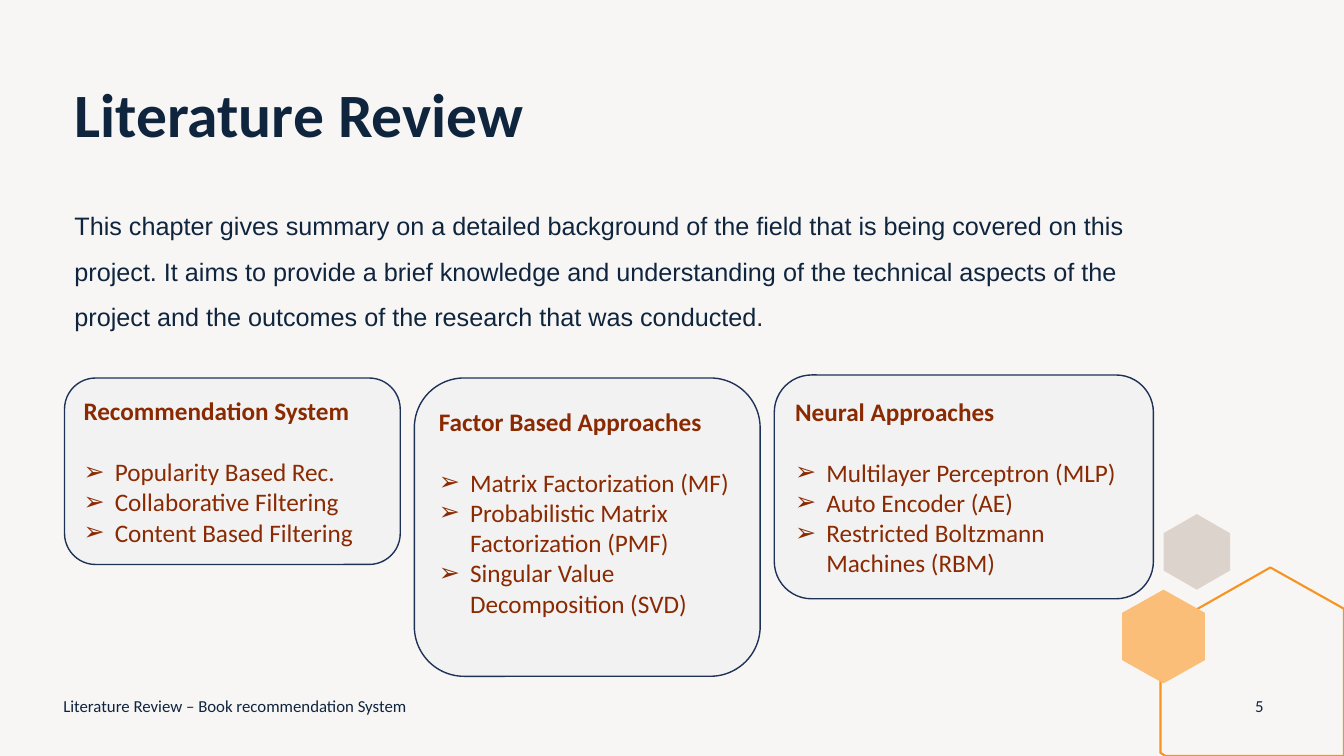
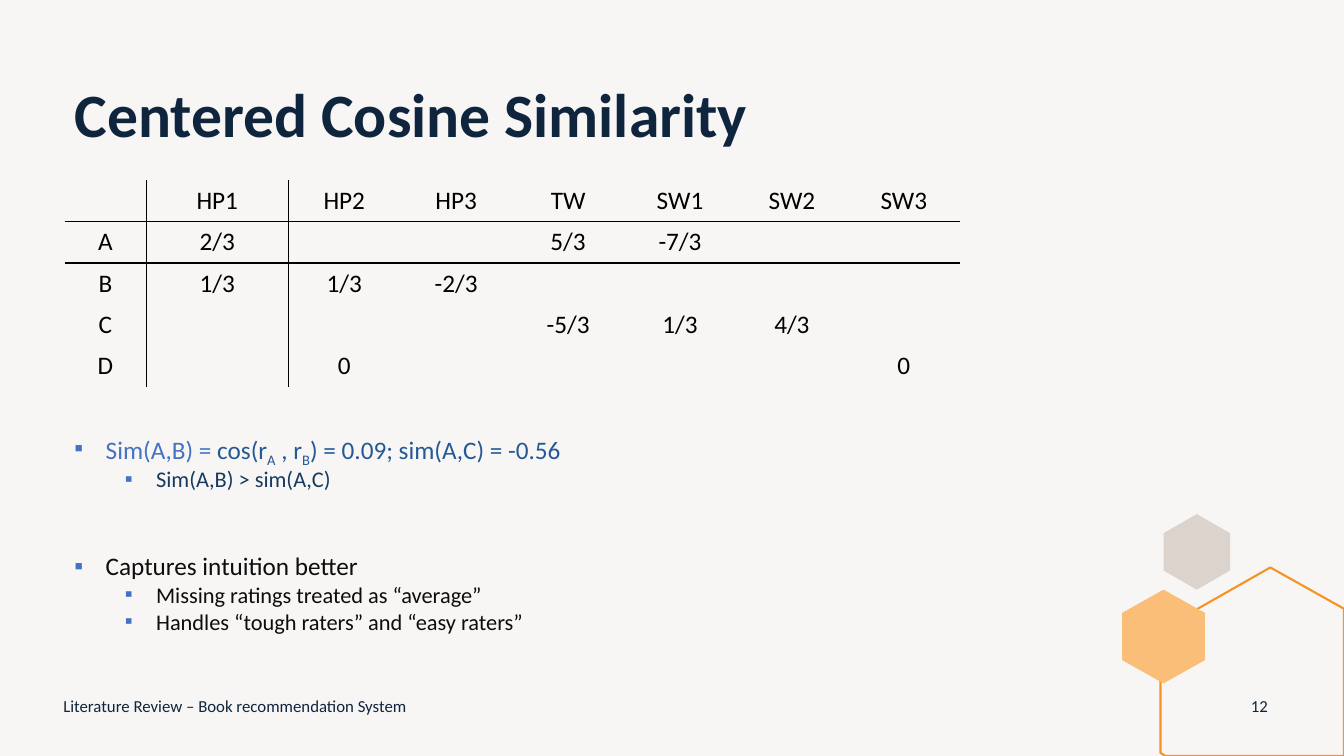
"""Build two slides on the literature behind a book recommendation system."""
from lxml import etree
from pptx import Presentation
from pptx import util as u
from pptx.dml.color import RGBColor
from pptx.enum import shapes, text
from pptx.oxml import ns

COLORS = {
    "background": "F8F6F5", "navy": "0F253E", "card": "F2F2F2", "card_line": "1E3256",
    "rust": "8A2A02", "stone": "DCD3CC", "orange": "F79320", "apricot": "FABE79",
    "bullet": "4472C4", "formula": "245995", "result": "173A61", "ink": "0D0D0D",
    "black": "000000",
}
TITLE = {"name": "Calibri", "size": u.Pt(44), "bold": True}
BODY = {"name": "Arial", "size": u.Pt(18)}
FOOTER = {"name": "Calibri", "size": u.Pt(12)}
HEADING = {"name": "Calibri", "size": u.Pt(18), "bold": True}
ITEM = {"name": "Calibri", "size": u.Pt(18), "bold": False}
SUBITEM = {"name": "Calibri", "size": u.Pt(16), "bold": False}
FOOTER_TEXT = "Literature Review – Book recommendation System"

HEXAGONS = [
    ([(11.87, 5.1), (12.2, 5.29), (12.2, 5.66), (11.87, 5.85), (11.54, 5.66), (11.54, 5.29)],
     "stone", None),
    ([(12.6, 5.63), (13.33, 6.04), (13.33, 7.5), (11.56, 7.5), (11.51, 7.47), (11.51, 6.25)],
     None, "orange"),
    ([(11.54, 5.85), (11.95, 6.08), (11.95, 6.55), (11.54, 6.78), (11.13, 6.55), (11.13, 6.08)],
     "apricot", None),
]
SUMMARY = (
    "This chapter gives summary on a detailed background of the field that is being covered "
    "on this project. It aims to provide a brief knowledge and understanding of the technical "
    "aspects of the project and the outcomes of the research that was conducted."
)
CARDS = [
    ((0.64, 3.75, 3.33, 1.85), 0.05, "Recommendation System",
     ["Popularity Based Rec.", "Collaborative Filtering", "Content Based Filtering"]),
    ((4.11, 3.75, 3.43, 2.96), 0.35, "Factor Based Approaches",
     ["Matrix Factorization (MF)", "Probabilistic Matrix Factorization (PMF)",
      "Singular Value Decomposition (SVD)"]),
    ((7.68, 3.72, 3.76, 2.22), 0.05, "Neural Approaches",
     ["Multilayer Perceptron (MLP)", "Auto Encoder (AE)",
      "Restricted Boltzmann Machines (RBM)"]),
]
RATINGS = [
    ["", "HP1", "HP2", "HP3", "TW", "SW1", "SW2", "SW3"],
    ["A", "2/3", "", "", "5/3", "-7/3", "", ""],
    ["B", "1/3", "1/3", "-2/3", "", "", "", ""],
    ["C", "", "", "", "-5/3", "1/3", "4/3", ""],
    ["D", "", "0", "", "", "", "", "0"],
]
COLUMN_WIDTHS = [0.81, 1.41] + [1.11] * 6
ROW_HEIGHT = 0.41
FINDINGS = [
    (0, 0, [("Sim(A,B) = ", "bullet", 0), ("cos(r", "formula", 0), ("A", "formula", -25),
            (" , r", "formula", 0), ("B", "formula", -25),
            (") = 0.09; sim(A,C) = -0.56", "formula", 0)]),
    (1, 0, [("Sim(A,B) > sim(A,C)", "result", 0)]),
    (0, 44, [("Captures intuition better", "ink", 0)]),
    (1, 0, [("Missing ratings treated as “average”", "ink", 0)]),
    (1, 0, [("Handles “tough raters” and “easy raters”", "ink", 0)]),
]


def rgb(name):
    """Return the named colour."""
    return RGBColor.from_string(COLORS[name])


def inches(values):
    """Convert a sequence of numbers to lengths."""
    return [u.Inches(value) for value in values]


def set_values(target, values):
    """Set attributes from a dict of format values."""
    for name, value in values.items():
        setattr(target, name, value)


def add_run(paragraph, words, style, color, baseline=0):
    """Append formatted words to a paragraph."""
    run = paragraph.add_run()
    run.text = words
    set_values(run.font, style)
    run.font.color.rgb = rgb(color)
    if baseline:
        run.font._element.set("baseline", str(baseline * 1000))


def add_bullet(paragraph, character, left, color):
    """Give a paragraph a hanging bullet."""
    properties = paragraph._p.get_or_add_pPr()
    properties.set("marL", str(u.Inches(left)))
    properties.set("indent", str(u.Inches(-0.31)))
    bullet_color = etree.SubElement(properties, ns.qn("a:buClr"))
    etree.SubElement(bullet_color, ns.qn("a:srgbClr"), val=COLORS[color])
    etree.SubElement(properties, ns.qn("a:buFont"), typeface="Arial")
    etree.SubElement(properties, ns.qn("a:buChar"), char=character)


def add_text(slide, box, words, style, **paragraph_format):
    """Add a text box with one paragraph in navy."""
    frame = slide.shapes.add_textbox(*inches(box)).text_frame
    frame.word_wrap = True
    paragraph = frame.paragraphs[0]
    set_values(paragraph, paragraph_format)
    add_run(paragraph, words, style, "navy")
    return frame


def paint(shape, fill, line, width):
    """Set the fill and outline of a shape, without a shadow."""
    shape.shadow.inherit = False
    if fill:
        shape.fill.solid()
        shape.fill.fore_color.rgb = rgb(fill)
    else:
        shape.fill.background()
    if line:
        shape.line.color.rgb = rgb(line)
        shape.line.width = u.Pt(width)
    else:
        shape.line.fill.background()


def add_hexagon(slide, points, fill, line):
    """Draw one hexagon of the corner ornament."""
    corners = [inches(point) for point in points]
    builder = slide.shapes.build_freeform(*corners[0])
    builder.add_line_segments(corners[1:], close=True)
    paint(builder.convert_to_shape(), fill, line, 1.5)


def add_slide(presentation, title, number):
    """Add a slide with the shared background, ornament, title and footer."""
    slide = presentation.slides.add_slide(presentation.slide_layouts[6])
    slide.background.fill.solid()
    slide.background.fill.fore_color.rgb = rgb("background")
    for hexagon in HEXAGONS:
        add_hexagon(slide, *hexagon)
    add_text(slide, (0.64, 0.79, 11.09, 0.83), title, TITLE, line_spacing=0.9)
    for left, width, words, alignment in (
        (0.53, 4.5, FOOTER_TEXT, text.PP_ALIGN.LEFT),
        (12.24, 0.5, str(number), text.PP_ALIGN.CENTER),
    ):
        frame = add_text(slide, (left, 6.8, width, 0.4), words, FOOTER, alignment=alignment)
        frame.vertical_anchor = text.MSO_ANCHOR.MIDDLE
    return slide


def add_card(slide, box, bottom_margin, heading, items):
    """Add a rounded card with a heading and a bulleted list."""
    card = slide.shapes.add_shape(shapes.MSO_SHAPE.ROUNDED_RECTANGLE, *inches(box))
    paint(card, "card", "card_line", 1)
    frame = card.text_frame
    set_values(frame, {"word_wrap": True, "vertical_anchor": text.MSO_ANCHOR.MIDDLE,
                       "margin_bottom": u.Inches(bottom_margin)})
    frame.paragraphs[0].alignment = text.PP_ALIGN.LEFT
    add_run(frame.paragraphs[0], heading, HEADING, "rust")
    for index, item in enumerate(items):
        paragraph = frame.add_paragraph()
        set_values(paragraph, {"alignment": text.PP_ALIGN.LEFT,
                               "space_before": u.Pt(0 if index else 22)})
        add_bullet(paragraph, "➢", 0.31, "rust")
        add_run(paragraph, item, ITEM, "rust")


def set_borders(cell, sides):
    """Draw the sides marked true in black and clear the others."""
    properties = cell._tc.get_or_add_tcPr()
    for index, (side, visible) in enumerate(sides.items()):
        line = etree.Element(ns.qn(f"a:ln{side}"), w=str(u.Pt(1)))
        fill = etree.SubElement(line, ns.qn("a:solidFill" if visible else "a:noFill"))
        if visible:
            etree.SubElement(fill, ns.qn("a:srgbClr"), val=COLORS["black"])
        properties.insert(index, line)


def add_ratings(slide):
    """Add the ratings table, ruled after its first two rows and columns."""
    box = (0.64, 1.79, sum(COLUMN_WIDTHS), ROW_HEIGHT * len(RATINGS))
    table = slide.shapes.add_table(len(RATINGS), len(COLUMN_WIDTHS), *inches(box)).table
    set_values(table, {"first_row": False, "horz_banding": False})
    for column, width in zip(table.columns, COLUMN_WIDTHS):
        column.width = u.Inches(width)
    for row_index, ratings in enumerate(RATINGS):
        table.rows[row_index].height = u.Inches(ROW_HEIGHT)
        for column_index, rating in enumerate(ratings):
            cell = table.cell(row_index, column_index)
            cell.fill.background()
            set_borders(cell, {"L": column_index in (1, 2), "R": column_index in (0, 1),
                               "T": row_index in (1, 2), "B": row_index in (0, 1)})
            if rating:
                paragraph = cell.text_frame.paragraphs[0]
                paragraph.alignment = text.PP_ALIGN.CENTER
                add_run(paragraph, rating, ITEM, "black")


def add_findings(slide):
    """Add the two-level list of findings."""
    frame = slide.shapes.add_textbox(*inches((0.64, 4.26, 10.48, 2.37))).text_frame
    frame.word_wrap = True
    for index, (level, gap, runs) in enumerate(FINDINGS):
        paragraph = frame.add_paragraph() if index else frame.paragraphs[0]
        set_values(paragraph, {"level": level, "space_before": u.Pt(gap),
                               "line_spacing": 1.0 if level else 0.9})
        add_bullet(paragraph, "▪", 0.31 + 0.5 * level, "bullet")
        for words, color, baseline in runs:
            add_run(paragraph, words, SUBITEM if level else ITEM, color, baseline)


def main():
    """Build and save the presentation."""
    presentation = Presentation()
    set_values(presentation, {"slide_width": u.Inches(13.33), "slide_height": u.Inches(7.5)})

    review = add_slide(presentation, "Literature Review", 5)
    add_text(review, (0.64, 1.89, 10.66, 1.6), SUMMARY, BODY, line_spacing=1.5)
    for card in CARDS:
        add_card(review, *card)

    similarity = add_slide(presentation, "Centered Cosine Similarity", 12)
    add_ratings(similarity)
    add_findings(similarity)

    presentation.save("out.pptx")


if __name__ == "__main__":
    main()
